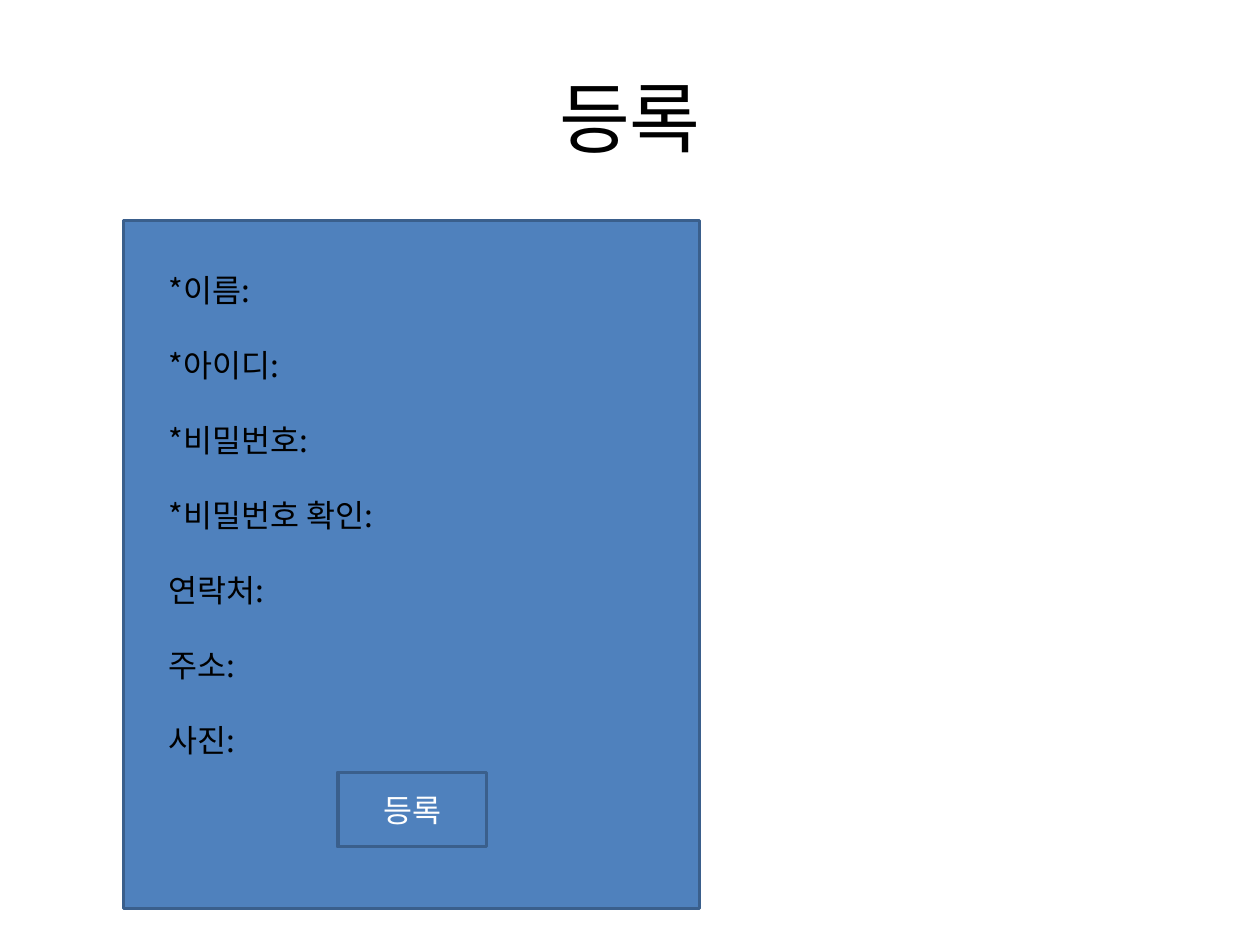
import pptx
import pptx.util
import pptx.dml.color
import pptx.enum.text
import pptx.enum.shapes
import pptx.oxml.ns
import lxml.etree

Cm = pptx.util.Cm
Pt = pptx.util.Pt
RGB = pptx.dml.color.RGBColor
ALIGN = pptx.enum.text.PP_ALIGN
ANCHOR = pptx.enum.text.MSO_ANCHOR

BLACK = RGB(0x00, 0x00, 0x00)
WHITE = RGB(0xFF, 0xFF, 0xFF)
BLUE = RGB(0x4F, 0x81, 0xBD)
EDGE = RGB(0x3A, 0x5F, 0x8C)
FONT = "Noto Sans CJK KR"


def write(shape, text, size=18, color=BLACK, align=ALIGN.LEFT,
          anchor=ANCHOR.TOP, wrap=True):
    frame = shape.text_frame
    frame.word_wrap = wrap
    frame.vertical_anchor = anchor
    para = frame.paragraphs[0]
    para.alignment = align
    run = para.add_run()
    run.text = text
    run.font.size = Pt(size)
    run.font.name = FONT
    run.font.color.rgb = color
    # Korean letters take the East Asian font
    east = lxml.etree.SubElement(run.font._element, pptx.oxml.ns.qn("a:ea"))
    east.set("typeface", FONT)


def add_box(left, top, width, height):
    box = slide.shapes.add_shape(pptx.enum.shapes.MSO_SHAPE.RECTANGLE,
                                 Cm(left), Cm(top), Cm(width), Cm(height))
    box.shadow.inherit = False
    box.fill.solid()
    box.fill.fore_color.rgb = BLUE
    box.line.color.rgb = EDGE
    box.line.width = Pt(2)
    return box


deck = pptx.Presentation()
deck.slide_width = Cm(25.4)
deck.slide_height = Cm(19.05)
slide = deck.slides.add_slide(deck.slide_layouts[6])

# Title
title = slide.shapes.add_textbox(Cm(1.27), Cm(0.76), Cm(22.86), Cm(3.18))
write(title, "등록", size=44, align=ALIGN.CENTER, anchor=ANCHOR.MIDDLE)

# Form panel
add_box(2.49, 4.45, 11.61, 13.87)

# Field labels, evenly spaced
FIELDS = [("*이름:", 2.21), ("*아이디:", 2.84), ("*비밀번호:", 3.48),
          ("*비밀번호 확인:", 5.0), ("연락처:", 2.59), ("주소:", 1.93),
          ("사진:", 1.93)]
for row, (text, width) in enumerate(FIELDS):
    label = slide.shapes.add_textbox(Cm(3.15), Cm(5.33 + 1.512 * row),
                                     Cm(width), Cm(1.02))
    write(label, text, wrap=False)
    label.text_frame.auto_size = pptx.enum.text.MSO_AUTO_SIZE.SHAPE_TO_FIT_TEXT

# Submit button
button = add_box(6.81, 15.57, 3.0, 1.5)
write(button, "등록", color=WHITE, align=ALIGN.CENTER, anchor=ANCHOR.MIDDLE)

deck.save("out.pptx")
